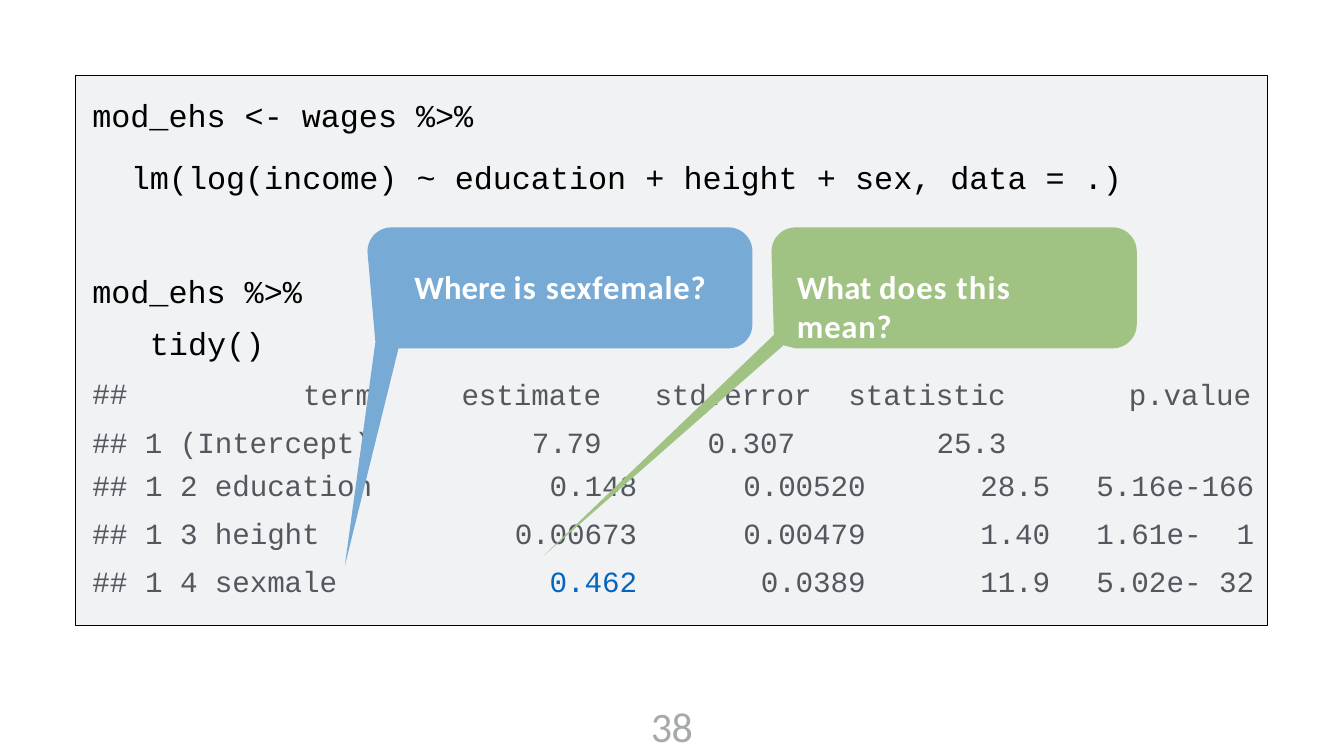
import math
import pptx
import pptx.util
import pptx.dml.color
import pptx.enum.shapes
import pptx.enum.text

Cm = pptx.util.Cm
Pt = pptx.util.Pt
hue = pptx.dml.color.RGBColor.from_string
align = pptx.enum.text.PP_ALIGN

MONO, SANS = "Courier New", "Calibri"
BLACK, GREY, BLUE, PALE = "000000", "53585F", "0365C0", "F0F2F4"
CODE, OUT = 37.5, 34.5


def write(para, runs, size, color, font=MONO, indent=0, before=0, bold=False):
    """Fill a paragraph with (text, letter spacing) runs."""
    para._p.get_or_add_pPr().set("marL", str(Cm(indent)))
    if before:
        para.space_before = Pt(before)
    for words, gap in runs:
        run = para.add_run()
        run.text = words
        run.font.name = font
        run.font.size = Pt(size)
        run.font.bold = bold
        run.font.color.rgb = hue(color)
        run._r.get_or_add_rPr().set("spc", str(round(gap * 100)))


def frame(left, top, width, height):
    """Add a text box without margins and return its text frame."""
    box = slide.shapes.add_textbox(Cm(left), Cm(top), Cm(width), Cm(height))
    text = box.text_frame
    text.word_wrap = True
    text.margin_left = text.margin_right = 0
    text.margin_top = text.margin_bottom = 0
    return text


deck = pptx.Presentation()
deck.slide_width, deck.slide_height = Cm(55.85), Cm(31.42)
slide = deck.slides.add_slide(deck.slide_layouts[6])

# Code panel
panel = slide.shapes.add_shape(
    pptx.enum.shapes.MSO_SHAPE.RECTANGLE, Cm(3.15), Cm(3.12), Cm(49.53), Cm(22.89))
panel.shadow.inherit = False
panel.fill.solid()
panel.fill.fore_color.rgb = hue(PALE)
panel.line.color.rgb = hue(BLACK)
panel.line.width = Pt(0.82)

# Model code
model = frame(3.84, 3.99, 42.9, 4.2)
write(model.paragraphs[0], [("mod_ehs <- wages %>%", -0.1)], CODE, BLACK)
write(model.add_paragraph(), [
    ("lm(log(income) ", -0.1), ("~ ", 0), ("education ", -0.1), ("+ ", 0),
    ("height ", -0.1), ("+ ", 0), ("sex, data ", -0.1), ("= .)", 0),
], CODE, BLACK, indent=1.6, before=27.6)

# Tidy code and the start of its output
tidy = frame(3.84, 10.69, 8.8, 6.45)
write(tidy.paragraphs[0], [("mod_ehs %>%", -0.1)], CODE, BLACK)
write(tidy.add_paragraph(), [("tidy()", 0)], CODE, BLACK, indent=2.39)
for para in tidy.paragraphs:
    para.line_spacing = 1.37
write(tidy.add_paragraph(), [("##", -0.1)], OUT, GREY, before=15.7)

# Output heads and the first row
first = frame(3.84, 17.63, 11.8, 1.5)
write(first.paragraphs[0], [("## ", -0.1), ("1 ", 0), ("(Intercept)", -0.1)], OUT, GREY)
heads = [
    (12.6, "term", None, 0),
    (19.18, "estimate", "7.79", 2.92),
    (27.2, "std.error", "0.307", 2.21),
    (35.26, "statistic", "25.3", 3.66),
    (46.91, "p.value", None, 0),
]
for left, head, value, indent in heads:
    col = frame(left, 15.62, 6.65, 3.5 if value else 1.5)
    write(col.paragraphs[0], [(head, -0.1)], OUT, GREY)
    if value:
        write(col.add_paragraph(), [(value, -0.1)], OUT, GREY, indent=indent, before=15.5)

# Output table
rows = [
    ["##", "1", "2", "education", "0.148", "0.00520", "28.5", "5.16e-166"],
    ["##", "1", "3", "height", "0.00673", "0.00479", "1.40", "1.61e-  1"],
    ["##", "1", "4", "sexmale", "0.462", "0.0389", "11.9", "5.02e- 32"],
]
widths = [1.91, 1.45, 1.45, 9.14, 8.76, 9.5, 7.67, 8.48]
indents = [0.08, 0, 0.36, 0.36, 0, 0, 0, 0]
sides = [align.LEFT, align.CENTER, align.LEFT, align.LEFT] + [align.RIGHT] * 4
table = slide.shapes.add_table(
    len(rows), len(widths), Cm(3.76), Cm(19.61), Cm(sum(widths)), Cm(5.51)).table
table.first_row = table.horz_banding = False
table._tbl.tblPr[0].text = "{2D5ABB26-0587-4C30-8999-92F81FD0307C}"  # no style, no grid
for col, width in zip(table.columns, widths):
    col.width = Cm(width)
for r, (row, high) in enumerate(zip(rows, [1.75, 2.01, 1.75])):
    table.rows[r].height = Cm(high)
    for c, value in enumerate(row):
        cell = table.cell(r, c)
        cell.fill.solid()
        cell.fill.fore_color.rgb = hue(PALE)
        cell.margin_left = cell.margin_right = cell.margin_bottom = 0
        cell.margin_top = Cm(0.25 if r else 0)
        para = cell.text_frame.paragraphs[0]
        para.alignment = sides[c]
        color = BLUE if value == "0.462" else GREY
        gap = 0 if c in (1, 2, 7) else -0.1
        write(para, [(value, gap)], OUT, color, indent=indents[c])

# Callouts: three round corners, then a tail at the lower left
top, base, arc = 9.45, 14.48, 1
calls = [
    (15.27, 31.27, "78AAD6", [(16.56, 14.48), (14.33, 23.52), (15.6, 14.22)], 17.22, 12.4,
     [("Where ", 0.1), ("is ", 1.5), ("sexfemale?", 1)]),
    (32.06, 47.24, "A0C283", [(32.56, 14.35), (22.58, 23.11), (32.16, 13.92)], 33.12, 12.8,
     [("What ", 0.1), ("does ", 1.2), ("this ", 1.5), ("mean?", 0.9)]),
]
for left, right, color, tail, start, width, runs in calls:
    mids = [(left + arc, top + arc, 180), (right - arc, top + arc, 270),
            (right - arc, base - arc, 0)]
    dots = []
    for x, y, turn in mids:
        for step in range(0, 91, 10):
            angle = math.radians(turn + step)
            dots.append((x + arc * math.cos(angle), y + arc * math.sin(angle)))
    if tail[0][1] < base:
        dots.append((left + arc, base))
    dots = [(Cm(x), Cm(y)) for x, y in dots + tail]
    build = slide.shapes.build_freeform(*dots[0])
    build.add_line_segments(dots[1:], close=True)
    call = build.convert_to_shape()
    call.shadow.inherit = False
    call.fill.solid()
    call.fill.fore_color.rgb = hue(color)
    call.line.fill.background()
    label = frame(start, 11.1, width, 1.7)
    write(label.paragraphs[0], runs, 38.5, "FFFFFF", SANS, bold=True)

# Page number
page = frame(27.05, 29.11, 2.5, 2.1)
write(page.paragraphs[0], [("38", -0.6)], 49.5, "A6AAA9", SANS)

deck.save("out.pptx")
